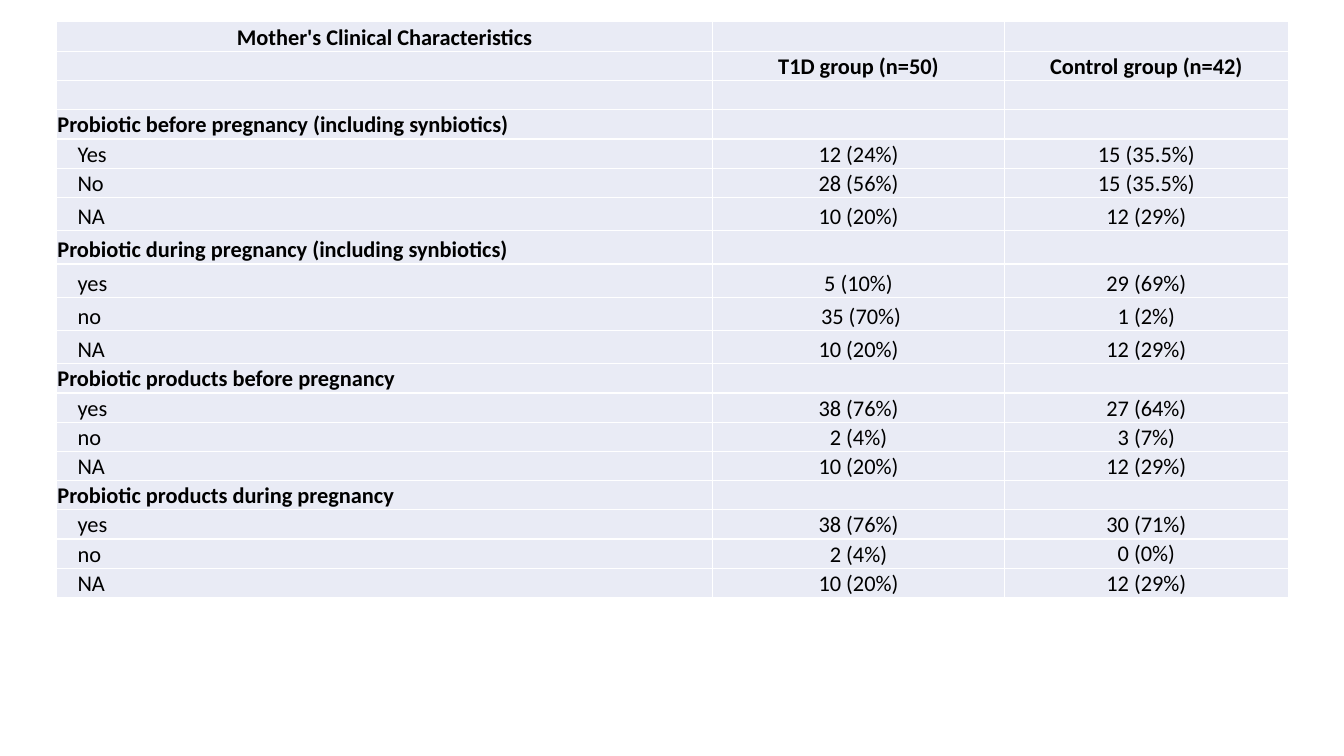
"""Build a slide with a table of mothers' clinical characteristics."""
from dataclasses import dataclass
from typing import Iterator

from lxml.etree import SubElement
from pptx import Presentation
from pptx.dml.color import RGBColor
from pptx.enum.text import MSO_ANCHOR, PP_ALIGN
from pptx.oxml.ns import qn
from pptx.table import Table, _Cell
from pptx.util import Inches, Pt

BLACK = RGBColor(0x00, 0x00, 0x00)
WHITE = RGBColor(0xFF, 0xFF, 0xFF)
PALE_BLUE = RGBColor(0xE9, 0xEB, 0xF5)

UNIT = Inches(0.01)
SLIDE_W, SLIDE_H = 1333, 750
LEFT, TOP = 56, 21
COLUMNS = (651, 289, 282)
HEADER_ROW, ROW, TALL_ROW = 30, 29, 33
PAD, INDENT = 1, 21
FONT, FONT_SIZE = "Calibri", Pt(16)


@dataclass(frozen=True)
class Row:
    texts: tuple[str, str, str]
    height: int = ROW
    bold: bool = False
    indent: int = PAD
    label_align: PP_ALIGN = PP_ALIGN.LEFT


@dataclass(frozen=True)
class Section:
    title: str
    answers: tuple[tuple[str, str, str], ...]
    heights: tuple[int, int, int, int] = (ROW,) * 4


HEADER = (
    Row(("Mother's Clinical Characteristics", "", ""), HEADER_ROW, True,
        label_align=PP_ALIGN.CENTER),
    Row(("", "T1D group (n=50)", "Control group (n=42)"), bold=True),
    Row(("", "", "")),
)
NOT_AVAILABLE = ("NA", "10 (20%)", "12 (29%)")
SECTIONS = (
    Section("Probiotic before pregnancy (including synbiotics)",
            (("Yes", "12 (24%)", "15 (35.5%)"),
             ("No", "28 (56%)", "15 (35.5%)"), NOT_AVAILABLE),
            (ROW, ROW, ROW, TALL_ROW)),
    Section("Probiotic during pregnancy (including synbiotics)",
            (("yes", "5 (10%)", "29 (69%)"),
             ("no", " 35 (70%)", "1 (2%)"), NOT_AVAILABLE),
            (TALL_ROW,) * 4),
    Section("Probiotic products before pregnancy",
            (("yes", "38 (76%)", "27 (64%)"),
             ("no", "2 (4%)", "3 (7%)"), NOT_AVAILABLE)),
    Section("Probiotic products during pregnancy",
            (("yes", "38 (76%)", "30 (71%)"),
             ("no", "2 (4%)", "0 (0%)"), NOT_AVAILABLE)),
)
MIDDLE_TEXT = "0 (0%)"


def section_rows(section: Section) -> Iterator[Row]:
    """Yield the title row of a section and its answer rows."""
    yield Row((section.title, "", ""), section.heights[0], True)
    for answer, height in zip(section.answers, section.heights[1:]):
        yield Row(answer, height, indent=INDENT)


def add_borders(cell: _Cell) -> None:
    """Give all four sides of a cell a thin white line."""
    tc_pr = cell._tc.get_or_add_tcPr()
    for side in ("lnL", "lnR", "lnT", "lnB"):
        ln = SubElement(tc_pr, qn(f"a:{side}"), w=str(Pt(1)))
        fill = SubElement(ln, qn("a:solidFill"))
        SubElement(fill, qn("a:srgbClr"), val=str(WHITE))


def fill_cell(cell: _Cell, text: str, bold: bool, indent: int,
              align: PP_ALIGN) -> None:
    """Style one cell and write its text."""
    add_borders(cell)
    cell.fill.solid()
    cell.fill.fore_color.rgb = PALE_BLUE
    cell.margin_left = indent * UNIT
    cell.margin_right = cell.margin_top = PAD * UNIT
    cell.margin_bottom = 0
    middle = text == MIDDLE_TEXT
    cell.vertical_anchor = MSO_ANCHOR.MIDDLE if middle else MSO_ANCHOR.BOTTOM
    p = cell.text_frame.paragraphs[0]
    p.alignment = align
    if not text:
        SubElement(p._p, qn("a:endParaRPr"), sz=str(int(FONT_SIZE.pt * 100)))
        return
    r = p.add_run()
    r.text = text
    r.font.name = FONT
    r.font.size = FONT_SIZE
    r.font.bold = bold
    r.font.color.rgb = BLACK


def fill_table(table: Table, rows: list[Row]) -> None:
    """Size the table's columns and rows and fill every cell."""
    for column, width in zip(table.columns, COLUMNS):
        column.width = width * UNIT
    for i, row in enumerate(rows):
        table.rows[i].height = row.height * UNIT
        for j, text in enumerate(row.texts):
            indent = PAD if j else row.indent
            align = PP_ALIGN.CENTER if j else row.label_align
            fill_cell(table.cell(i, j), text, row.bold, indent, align)


def main() -> None:
    """Create the presentation and save it."""
    prs = Presentation()
    prs.slide_width, prs.slide_height = SLIDE_W * UNIT, SLIDE_H * UNIT
    slide = prs.slides.add_slide(prs.slide_layouts[6])
    rows = [*HEADER, *(row for s in SECTIONS for row in section_rows(s))]
    height = sum(row.height for row in rows)
    frame = slide.shapes.add_table(
        len(rows), len(COLUMNS), LEFT * UNIT, TOP * UNIT,
        sum(COLUMNS) * UNIT, height * UNIT)
    fill_table(frame.table, rows)
    prs.save("out.pptx")


if __name__ == "__main__":
    main()
